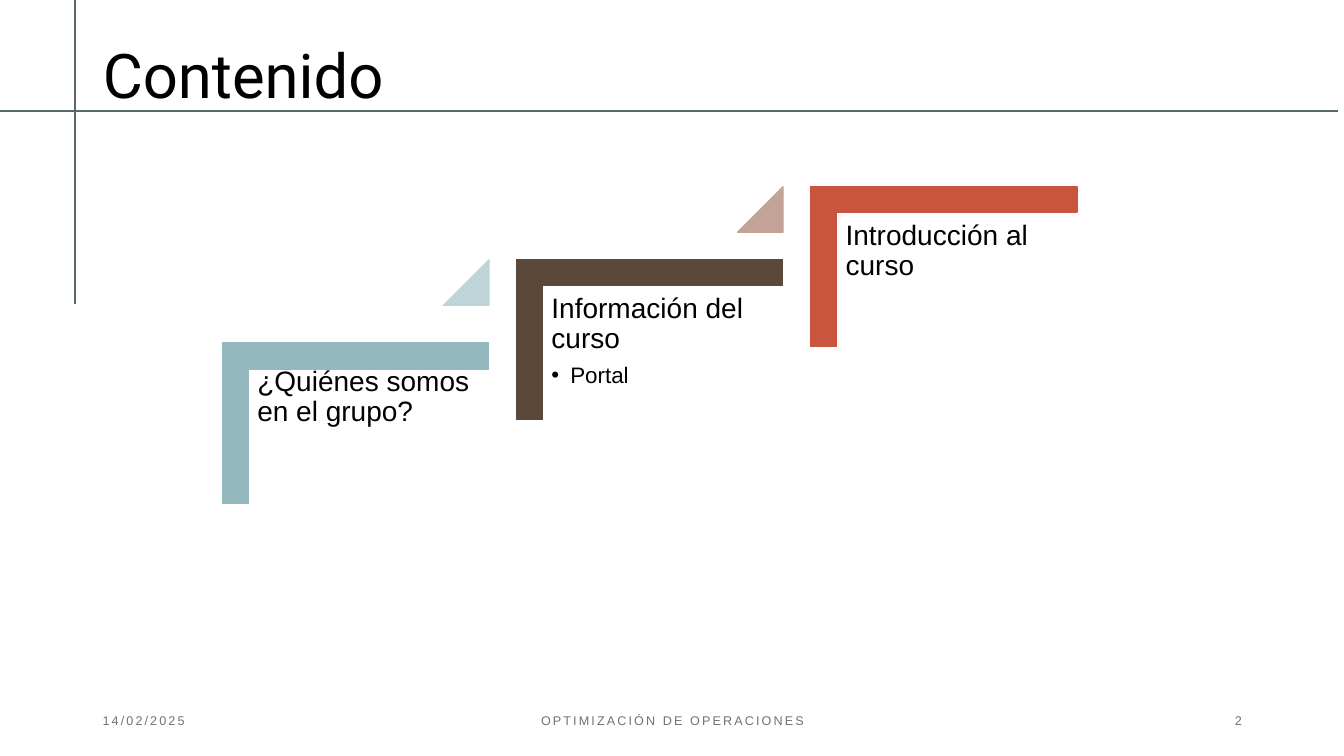
"""Builds the contents slide: three rising steps under a title with ruled lines."""
from dataclasses import dataclass

from lxml.etree import SubElement
from pptx import Presentation
from pptx.dml.color import RGBColor
from pptx.enum.shapes import MSO_CONNECTOR, MSO_SHAPE
from pptx.enum.text import MSO_ANCHOR as Anchor, MSO_AUTO_SIZE, PP_ALIGN as Align
from pptx.oxml.ns import qn
from pptx.util import Pt


@dataclass(frozen=True)
class Theme:
    title_font: str = "Roboto"
    body_font: str = "Arial"
    ink: str = "000000"
    rule: str = "58696B"
    muted: str = "767171"
    title_size: float = 44
    step_size: float = 20
    bullet_size: float = 16
    footer_size: float = 9


@dataclass(frozen=True)
class Step:
    heading: str
    color: str
    flag_color: str = ""
    bullets: tuple[str, ...] = ()
    corner_drop: float = 0


@dataclass(frozen=True)
class Footer:
    text: str
    left: float
    width: float
    align: Align


THEME = Theme()
STEPS = (
    Step("¿Quiénes somos en el grupo?", "95B8BF", "BFD4D9", corner_drop=7.6),
    Step("Información del curso", "5B4839", "C3A398", ("Portal",)),
    Step("Introducción al curso", "CA553E"),
)
FOOTERS = (
    Footer("14/02/2025", 66.24, 216, Align.LEFT),
    Footer("OPTIMIZACIÓN DE OPERACIONES", 318.24, 324, Align.CENTER),
    Footer("2", 678.24, 216, Align.RIGHT),
)
RULES = ((-4.32, 79.2, 955.44, 79.2), (53.28, 0, 53.28, 217.44))
FIRST_LEFT, FIRST_TOP = 177.8, 256.3
STEP_RIGHT, STEP_UP = 210.1, 52.2


def write_text(para, text: str, *, size: float, font: str = THEME.body_font,
               color: str = THEME.ink, align: Align = Align.LEFT,
               line_spacing: float = 1, after: float = 0,
               tracking: int = 0, bullet_indent: float = 0) -> None:
    if bullet_indent:
        props = para._p.get_or_add_pPr()
        props.set("marL", str(Pt(bullet_indent)))
        props.set("indent", str(-Pt(bullet_indent)))
        SubElement(props, qn("a:buFont"), typeface=font)
        SubElement(props, qn("a:buChar"), char="•")
    para.alignment = align
    para.line_spacing = line_spacing
    para.space_before, para.space_after = Pt(0), Pt(after)
    span = para.add_run()
    span.text = text
    span.font.name, span.font.size = font, Pt(size)
    span.font.color.rgb = RGBColor.from_string(color)
    if tracking:
        span._r.get_or_add_rPr().set("spc", str(tracking))


def add_box(page, left: float, top: float, width: float, height: float):
    box = page.shapes.add_textbox(Pt(left), Pt(top), Pt(width), Pt(height))
    box.text_frame.word_wrap = True
    return box.text_frame


def add_solid(page, kind: MSO_SHAPE, left: float, top: float,
              width: float, height: float, color: str):
    shape = page.shapes.add_shape(kind, Pt(left), Pt(top), Pt(width), Pt(height))
    shape.shadow.inherit = False
    shape.fill.solid()
    shape.fill.fore_color.rgb = RGBColor.from_string(color)
    shape.line.color.rgb = RGBColor.from_string(color)
    shape.line.width = Pt(1)
    return shape


def add_rule(page, x1: float, y1: float, x2: float, y2: float) -> None:
    rule = page.shapes.add_connector(
        MSO_CONNECTOR.STRAIGHT, Pt(x1), Pt(y1), Pt(x2), Pt(y2))
    rule.line.color.rgb = RGBColor.from_string(THEME.rule)
    rule.line.width = Pt(1.5)
    SubElement(rule._element.spPr, qn("a:effectLst"))


def add_title(page, text: str) -> None:
    title = page.shapes.title
    title.left, title.top, title.width, title.height = map(Pt, (66.24, 28.8, 828, 56.88))
    frame = title.text_frame
    frame.auto_size = MSO_AUTO_SIZE.NONE
    frame.vertical_anchor = Anchor.TOP
    write_text(frame.paragraphs[0], text, size=THEME.title_size,
               font=THEME.title_font, line_spacing=0.9)


def add_step(page, step: Step, index: int) -> None:
    left = FIRST_LEFT + index * STEP_RIGHT
    top = FIRST_TOP - index * STEP_UP
    corner = add_solid(page, MSO_SHAPE.CORNER, left + 18.9,
                       top - 56.6 + step.corner_drop, 114.48, 190.08, step.color)
    corner.rotation = 90
    for position in range(2):
        corner.adjustments[position] = 0.161

    frame = add_box(page, left, top, 171.36, 150.48)
    frame.margin_left = frame.margin_right = Pt(6)
    frame.margin_top = frame.margin_bottom = Pt(6)
    write_text(frame.paragraphs[0], step.heading, size=THEME.step_size,
               line_spacing=0.9, after=7)
    for bullet in step.bullets:
        write_text(frame.add_paragraph(), bullet, size=THEME.bullet_size,
                   line_spacing=0.9, after=2.4, bullet_indent=13.5)

    if step.flag_color:
        flag = add_solid(page, MSO_SHAPE.ISOSCELES_TRIANGLE, left + 139,
                         top - 70.7, 32.4, 32.4, step.flag_color)
        flag.adjustments[0] = 1


def add_footer(page, footer: Footer) -> None:
    frame = add_box(page, footer.left, 500.4, footer.width, 28.8)
    frame.vertical_anchor = Anchor.MIDDLE
    write_text(frame.paragraphs[0], footer.text, size=THEME.footer_size,
               color=THEME.muted, align=footer.align, tracking=150)


def main() -> None:
    deck = Presentation()
    deck.slide_width, deck.slide_height = Pt(960), Pt(540)
    page = deck.slides.add_slide(deck.slide_layouts[5])
    for rule in RULES:
        add_rule(page, *rule)
    add_title(page, "Contenido")
    for footer in FOOTERS:
        add_footer(page, footer)
    for index, step in enumerate(STEPS):
        add_step(page, step, index)
    deck.save("out.pptx")


if __name__ == "__main__":
    main()
